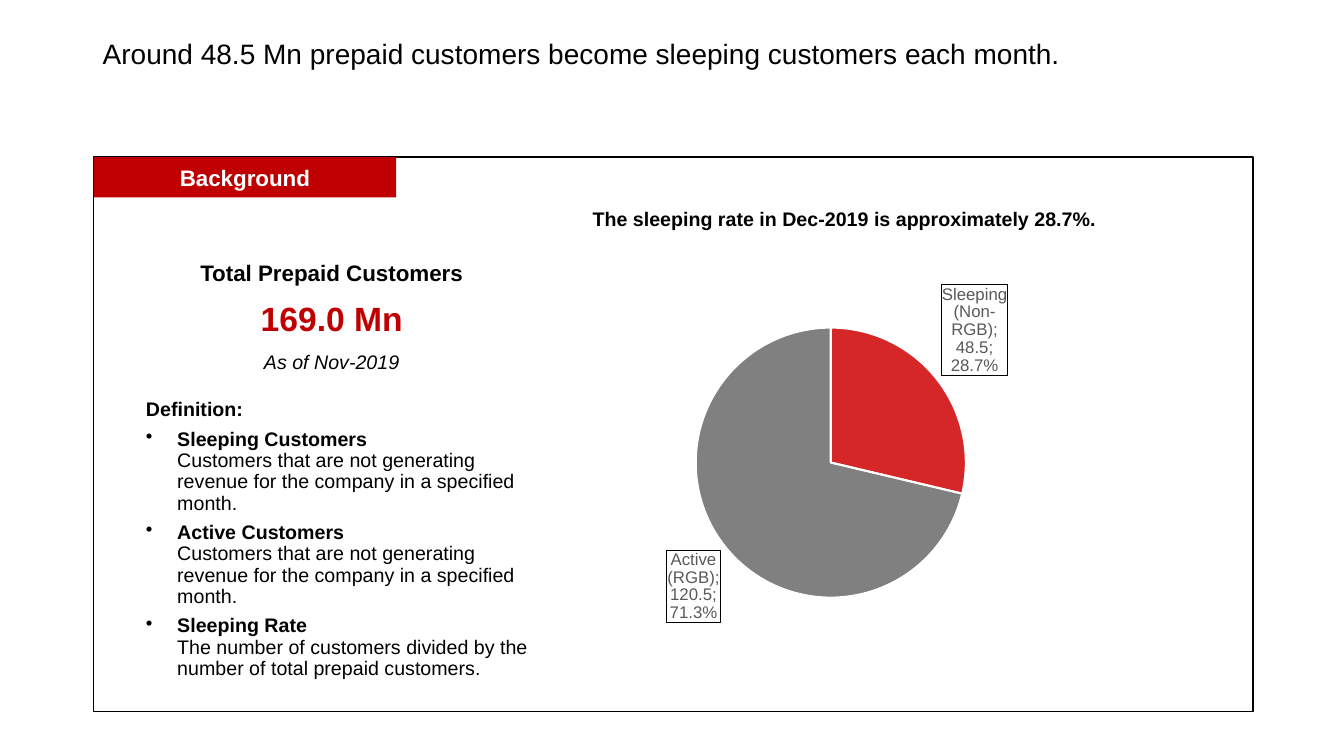
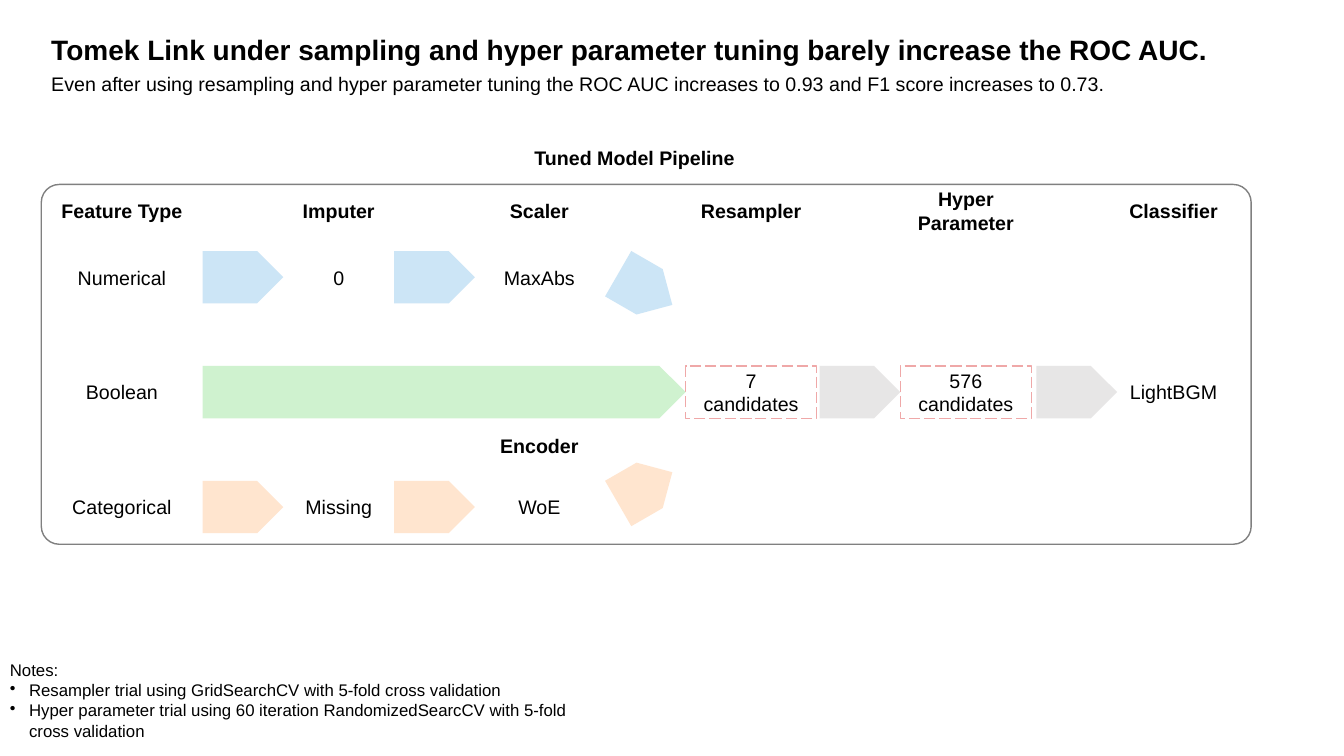
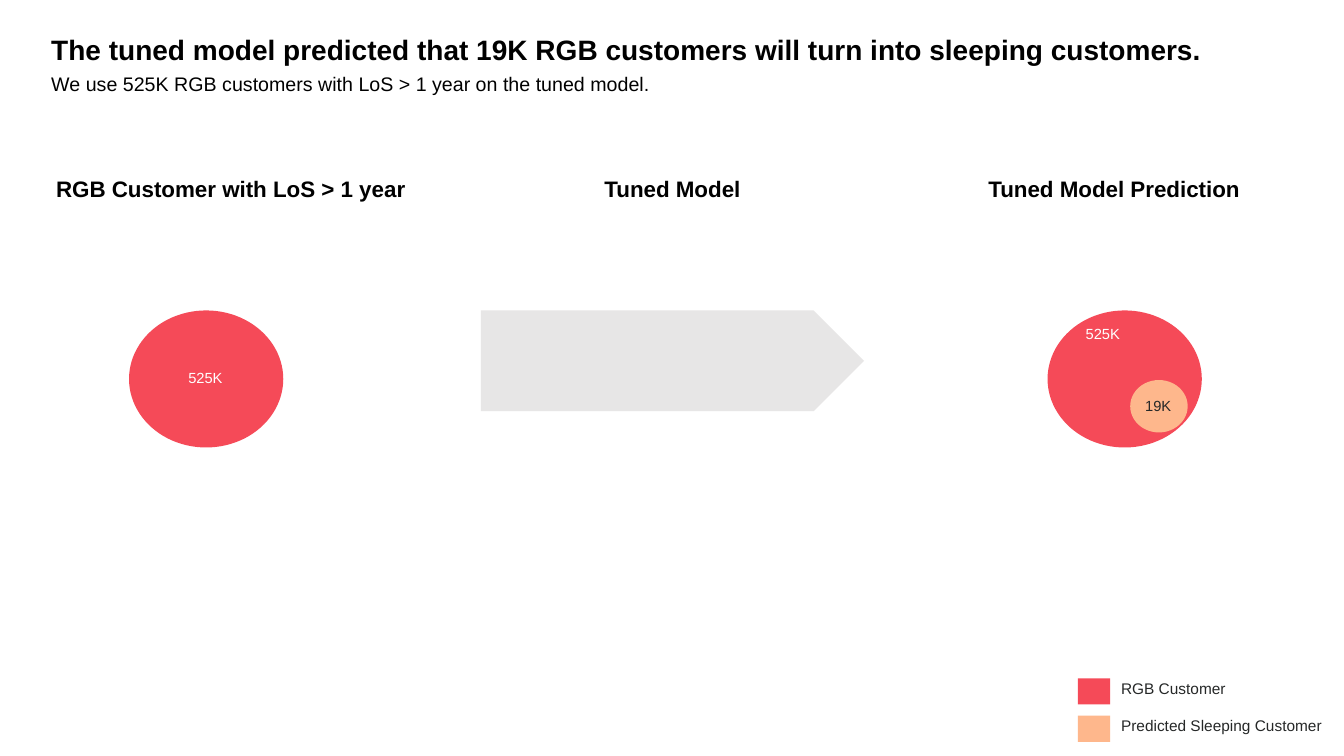
from dataclasses import dataclass, replace

from lxml import etree
from pptx import Presentation
from pptx.chart import data as chart_data
from pptx.dml.color import RGBColor
from pptx.enum import chart as chart_enum, dml, shapes, text
from pptx.oxml import parse_xml
from pptx.oxml.ns import nsdecls, qn
from pptx.util import Inches, Pt


@dataclass(frozen=True)
class Theme:
    font: str = "Arial"
    black: str = "000000"
    white: str = "FFFFFF"
    ink: str = "262828"
    red: str = "C00000"
    sleeping: str = "D62728"
    grey: str = "808080"
    label: str = "595959"
    numerical: str = "CCE5F6"
    boolean: str = "CFF2CF"
    categorical: str = "FFE5CF"
    step: str = "E7E6E6"
    candidate: str = "EFA8A8"
    rgb_customer: str = "F54A58"
    predicted: str = "FEB78C"
    figure: float = 24
    title: float = 20
    heading: float = 16
    body: float = 14
    note: float = 12
    legend: float = 11
    bubble: float = 10.5


THEME = Theme()


@dataclass(frozen=True)
class Style:
    size: float = THEME.body
    color: str = THEME.black
    bold: bool = False
    italic: bool = False


BODY = Style()
BOLD = Style(bold=True)
HEADING = Style(THEME.heading, bold=True)
NOTE = Style(THEME.note)
LEGEND = Style(THEME.legend, THEME.ink)

LEFT, CENTER = text.PP_ALIGN.LEFT, text.PP_ALIGN.CENTER
TOP, MIDDLE = text.MSO_ANCHOR.TOP, text.MSO_ANCHOR.MIDDLE
RECT, ROUND, OVAL, ARROW = (
    shapes.MSO_SHAPE.RECTANGLE, shapes.MSO_SHAPE.ROUNDED_RECTANGLE,
    shapes.MSO_SHAPE.OVAL, shapes.MSO_SHAPE.RIGHT_ARROW)


def rgb(color):
    return RGBColor.from_string(color)


def inches(box):
    return [Inches(length) for length in box]


def add_bullet(paragraph, indent):
    props = paragraph._p.get_or_add_pPr()
    props.set("marL", str(Inches(indent)))
    props.set("indent", str(-Inches(indent)))
    etree.SubElement(props, qn("a:buChar")).set("char", "•")


def write(frame, paragraphs, align=LEFT, anchor=MIDDLE, wrap=True,
          spacing=None, after=None, indent=0):
    """Fill a frame; each paragraph is a list of (words, style) runs.

    With an indent, every paragraph but the first is bulleted.
    """
    frame.word_wrap = wrap
    frame.vertical_anchor = anchor
    for index, runs in enumerate(paragraphs):
        paragraph = frame.add_paragraph() if index else frame.paragraphs[0]
        paragraph.alignment = align
        if spacing:
            paragraph.line_spacing = spacing
        if after:
            paragraph.space_after = Pt(after)
        if indent and index:
            add_bullet(paragraph, indent)
        for position, (words, style) in enumerate(runs):
            if position:
                paragraph.add_line_break()
            run = paragraph.add_run()
            run.text = words
            font = run.font
            font.name, font.size = THEME.font, Pt(style.size)
            font.bold, font.italic = style.bold, style.italic
            font.color.rgb = rgb(style.color)


def add_label(slide, box, words, style=BODY, **layout):
    frame = slide.shapes.add_textbox(*inches(box)).text_frame
    write(frame, [[(words, style)]], **layout)


def add_block(slide, kind, box, fill=None, line=None):
    block = slide.shapes.add_shape(kind, *inches(box))
    block.shadow.inherit = False
    if fill:
        block.fill.solid()
        block.fill.fore_color.rgb = rgb(fill)
    else:
        block.fill.background()
    if line:
        block.line.color.rgb = rgb(line)
        block.line.width = Pt(1)
    else:
        block.line.fill.background()
    return block


def add_step(slide, box, fill, rotation=0):
    step = add_block(slide, ARROW, box, fill)
    step.adjustments[0], step.adjustments[1] = 1, 0.5
    step.rotation = rotation


def add_headline(slide, title, subtitle):
    add_label(slide, (0.41, 0.2, 11.78, 0.62), title,
              Style(THEME.title, bold=True), spacing=0.9)
    add_label(slide, (0.41, 0.66, 10.83, 0.34), subtitle, anchor=TOP)


def add_customer_pie(slide, box):
    customers = chart_data.CategoryChartData(number_format="0.0")
    customers.categories = ["Sleeping (Non-RGB)", "Active (RGB)"]
    customers.add_series("Series 1", (48.5, 120.5))
    chart = slide.shapes.add_chart(
        chart_enum.XL_CHART_TYPE.PIE, *inches(box), customers).chart
    chart.has_legend = chart.has_title = False
    chart.font.name, chart.font.size = THEME.font, Pt(10)
    chart.font.color.rgb = rgb(THEME.black)
    chart.plots[0].vary_by_categories = True

    series = chart.plots[0].series[0]
    for index, color in enumerate((THEME.sleeping, THEME.grey)):
        look = series.points[index].format
        look.fill.solid()
        look.fill.fore_color.rgb = rgb(color)
        look.line.color.rgb = rgb(THEME.white)
        look.line.width = Pt(1.5)

    labels = series.data_labels
    labels.show_category_name = labels.show_value = True
    labels.show_percentage = True
    labels.show_legend_key = labels.show_series_name = False
    labels.number_format, labels.number_format_is_linked = "0.0%", False
    labels.position = chart_enum.XL_LABEL_POSITION.OUTSIDE_END
    labels.font.name, labels.font.size = THEME.font, Pt(THEME.note)
    labels.font.color.rgb = rgb(THEME.label)
    box_labels(labels._element)
    place_plot(chart, x=0.15, y=0.19, w=0.67, h=0.67)


def box_labels(labels):
    """Outline the data labels and separate their parts with semicolons."""
    labels.find(qn("c:numFmt")).addnext(parse_xml(
        f'<c:spPr {nsdecls("c", "a")}>'
        f'<a:solidFill><a:srgbClr val="{THEME.white}"/></a:solidFill>'
        f'<a:ln w="9525"><a:solidFill><a:srgbClr val="{THEME.black}"/>'
        '</a:solidFill></a:ln></c:spPr>'))
    labels.find(qn("c:txPr")).find(qn("a:bodyPr")).set("wrap", "square")
    separator = etree.Element(qn("c:separator"))
    separator.text = "; "
    shown = [part for part in labels if part.tag.startswith(qn("c:show"))
             and part.tag != qn("c:showLeaderLines")]
    shown[-1].addnext(separator)


def place_plot(chart, **fractions):
    plot_area = chart._chartSpace.find(qn("c:chart")).find(qn("c:plotArea"))
    layout = plot_area.find(qn("c:layout"))
    if layout is None:
        layout = etree.Element(qn("c:layout"))
        plot_area.insert(0, layout)
    manual = etree.SubElement(layout, qn("c:manualLayout"))
    settings = {"layoutTarget": "inner", "xMode": "edge", "yMode": "edge"}
    for name, value in {**settings, **fractions}.items():
        etree.SubElement(manual, qn(f"c:{name}")).set("val", str(value))


def build_background(slide):
    add_block(slide, RECT, (0.93, 1.56, 11.5, 5.5), THEME.white, THEME.black)
    add_label(slide, (0.92, 0, 11.5, 1.1),
              "Around 48.5 Mn prepaid customers become sleeping customers "
              "each month.", Style(THEME.title), spacing=0.9)
    band = add_block(slide, RECT, (0.93, 1.56, 3, 0.4), THEME.red)
    write(band.text_frame,
          [[("Background", replace(HEADING, color=THEME.white))]],
          align=CENTER)

    totals = (
        (2.57, "Total Prepaid Customers", HEADING),
        (3.03, "169.0 Mn", Style(THEME.figure, THEME.red, bold=True)),
        (3.45, "As of Nov-2019", Style(italic=True)),
    )
    for top, words, style in totals:
        add_label(slide, (1.79, top, 3, 0.3), words, style,
                  align=CENTER, spacing=0.9, after=6)

    not_generating = ("Customers that are not generating revenue for the "
                      "company in a specified month.")
    definitions = (
        ("Sleeping Customers", not_generating),
        ("Active Customers", not_generating),
        ("Sleeping Rate", "The number of customers divided by the number of "
                          "total prepaid customers."),
    )
    glossary = slide.shapes.add_textbox(*inches((1.35, 3.98, 4, 2.75)))
    write(glossary.text_frame,
          [[("Definition:", BOLD)]]
          + [[(term, BOLD), (meaning, BODY)] for term, meaning in definitions],
          spacing=0.9, after=6, indent=0.31)

    add_label(slide, (5.78, 1.96, 5.46, 0.44),
              "The sleeping rate in Dec-2019 is approximately 28.7%.", BOLD,
              spacing=0.9, after=6)
    add_customer_pie(slide, (6.3, 2.49, 4, 4))


def build_pipeline(slide):
    row_height, step_width = 0.52, 0.8
    header, numerical, boolean, categorical = 1.83, 2.49, 3.63, 4.77
    feature, imputer, scaler = (0.41, 1.6), (2.81, 1.1), (4.7, 1.3)
    resampler, tuning, classifier = (6.8, 1.3), (8.93, 1.3), (10.99, 1.3)

    def cell(column, top):
        left, width = column
        return left, top, width, row_height

    add_block(slide, ROUND, (0.41, 1.83, 12, 3.57),
              line=THEME.grey).adjustments[0] = 0.05
    add_headline(
        slide,
        "Tomek Link under sampling and hyper parameter tuning barely "
        "increase the ROC AUC.",
        "Even after using resampling and hyper parameter tuning the ROC AUC "
        "increases to 0.93 and F1 score increases to 0.73.")
    add_label(slide, (4.91, 1.3, 2.77, row_height), "Tuned Model Pipeline",
              BOLD, align=CENTER)

    headings = (
        (feature, header, "Feature Type"), (imputer, header, "Imputer"),
        (scaler, header, "Scaler"), (resampler, header, "Resampler"),
        (tuning, header, "Hyper Parameter"),
        (classifier, header, "Classifier"), (scaler, 4.16, "Encoder"),
    )
    values = (
        (feature, numerical, "Numerical"), (imputer, numerical, "0"),
        (scaler, numerical, "MaxAbs"), (feature, boolean, "Boolean"),
        (classifier, boolean, "LightBGM"),
        (feature, categorical, "Categorical"),
        (imputer, categorical, "Missing"), (scaler, categorical, "WoE"),
    )
    for entries, style in ((headings, BOLD), (values, BODY)):
        for column, top, words in entries:
            add_label(slide, cell(column, top), words, style, align=CENTER)

    for column, words in ((resampler, "7 candidates"),
                          (tuning, "576 candidates")):
        candidates = add_block(slide, RECT, cell(column, boolean),
                               line=THEME.candidate)
        candidates.line.dash_style = dml.MSO_LINE.LONG_DASH
        write(candidates.text_frame, [[(words, BODY)]], align=CENTER)

    branches = (
        (numerical, THEME.numerical, 2.61, 30),
        (categorical, THEME.categorical, 4.58, 330),
    )
    for top, color, merge_top, angle in branches:
        for left in (2.01, 3.91):
            add_step(slide, cell((left, step_width), top), color)
        add_step(slide, cell((6.09, 0.62), merge_top), color, angle)
    add_step(slide, cell((2.01, 4.79), boolean), THEME.boolean)
    for left in (8.13, 10.28):
        add_step(slide, cell((left, step_width), boolean), THEME.step)

    notes = ("Notes:",
             "Resampler trial using GridSearchCV with 5-fold cross validation",
             "Hyper parameter trial using 60 iteration RandomizedSearcCV with "
             "5-fold cross validation")
    footnote = add_block(slide, RECT, (0, 6.39, 5.84, 1.11), THEME.white)
    write(footnote.text_frame, [[(note, NOTE)] for note in notes], indent=0.19)


def build_prediction(slide):
    add_headline(
        slide,
        "The tuned model predicted that 19K RGB customers will turn into "
        "sleeping customers.",
        "We use 525K RGB customers with LoS > 1 year on the tuned model.")
    stages = (
        (0.41, 3.76, "RGB Customer with LoS > 1 year"),
        (4.77, 3.8, "Tuned Model"),
        (9.17, 3.76, "Tuned Model Prediction"),
    )
    for left, width, words in stages:
        add_label(slide, (left, 1.61, width, 0.52), words, HEADING,
                  align=CENTER)
    add_step(slide, (4.77, 3.08, 3.8, 1), THEME.step)

    for left in (1.28, 10.39):
        add_block(slide, OVAL, (left, 3.08, 1.53, 1.36), THEME.rgb_customer)
    add_block(slide, OVAL, (11.21, 3.77, 0.57, 0.52), THEME.predicted)
    counts = (
        ((1.77, 3.61, 0.55, 0.28), "525K", THEME.white),
        ((10.67, 3.17, 0.55, 0.28), "525K", THEME.white),
        ((11.26, 3.89, 0.46, 0.28), "19K", THEME.ink),
    )
    for box, words, color in counts:
        add_label(slide, box, words, Style(THEME.bubble, color),
                  anchor=TOP, wrap=False)

    legend = (
        (6.73, 1.25, "RGB Customer", THEME.rgb_customer),
        (7.1, 2.21, "Predicted Sleeping Customer", THEME.predicted),
    )
    for top, width, words, color in legend:
        add_block(slide, RECT, (10.69, top, 0.32, 0.26), color)
        add_label(slide, (11.02, top - 0.04, width, 0.29), words, LEGEND,
                  anchor=TOP, wrap=False)


def main():
    deck = Presentation()
    deck.slide_width, deck.slide_height = Inches(13.33), Inches(7.5)
    blank = deck.slide_layouts[6]
    for build in (build_background, build_pipeline, build_prediction):
        build(deck.slides.add_slide(blank))
    deck.save("out.pptx")


if __name__ == "__main__":
    main()
